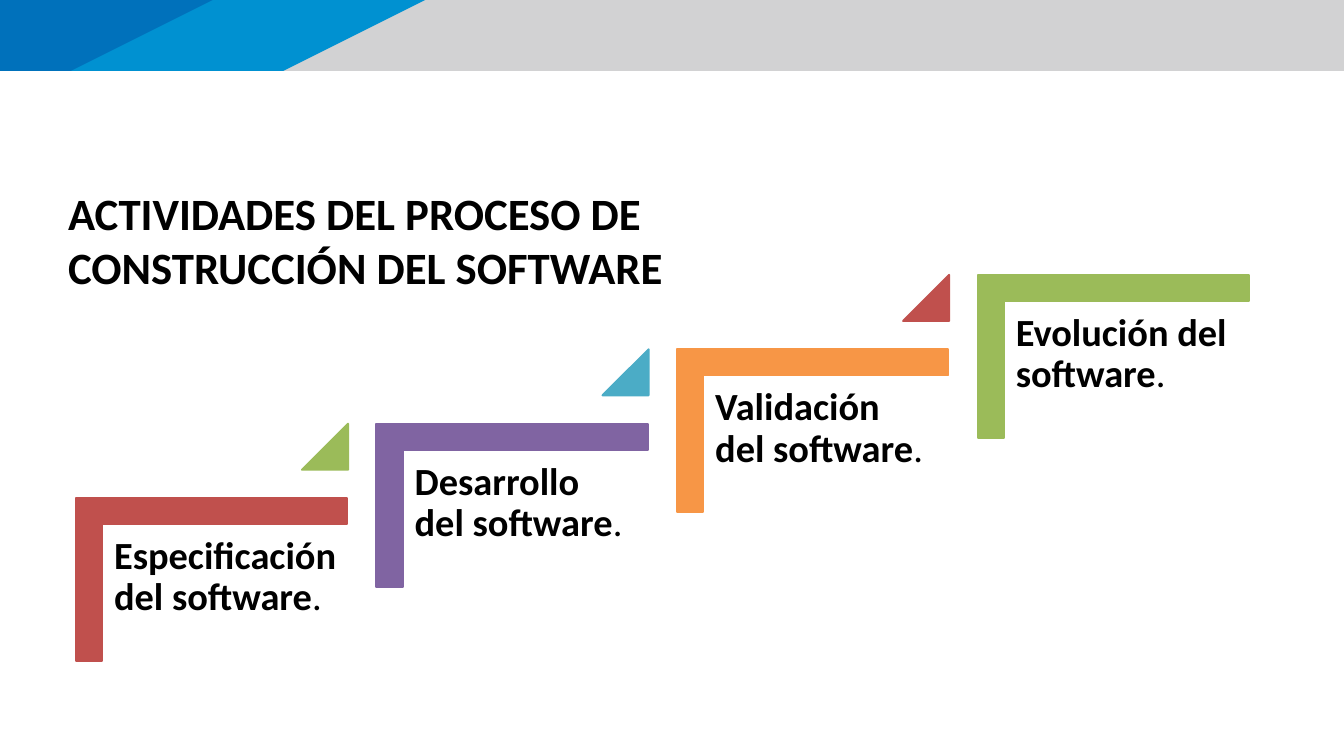
from pptx import Presentation
from pptx.dml.color import RGBColor
from pptx.enum.shapes import MSO_SHAPE
from pptx.enum.text import MSO_ANCHOR, MSO_AUTO_SIZE, PP_ALIGN
from pptx.util import Inches, Pt

CORNER = MSO_SHAPE.CORNER
TRIANGLE = MSO_SHAPE.ISOSCELES_TRIANGLE
TOP = MSO_ANCHOR.TOP
LEFT = PP_ALIGN.LEFT
NO_AUTOFIT = MSO_AUTO_SIZE.NONE

BLACK = RGBColor(0x00, 0x00, 0x00)
GREY = RGBColor(0xD2, 0xD2, 0xD3)
SKY = RGBColor(0x00, 0x91, 0xD1)
BLUE = RGBColor(0x00, 0x71, 0xBB)
RED = RGBColor(0xC0, 0x50, 0x4D)
GREEN = RGBColor(0x9B, 0xBB, 0x59)
PURPLE = RGBColor(0x80, 0x64, 0xA2)
TEAL = RGBColor(0x4B, 0xAC, 0xC6)
ORANGE = RGBColor(0xF7, 0x96, 0x46)

FONT = "Calibri"
WIDTH, HEIGHT = 18.96, 10.67
BANNER_HEIGHT = 1.24
BANDS = [(WIDTH, WIDTH, GREY), (5.58, 3.9, SKY), (3.01, 1.34, BLUE)]

STAIR_LEFT, STAIR_TOP = 1.07, 7.03
COLUMN, ROW = 4.24, 1.05
BRACKET_WIDTH, BRACKET_HEIGHT = 3.83, 2.3
LABEL_WIDTH, LABEL_HEIGHT = 3.46, 3.03
LABEL_INSET = 0.16
LABEL_OFFSET = 0.38
MARKER = 0.65

STEPS = [
    ("Especificación del software", RED, GREEN),
    ("Desarrollo del software", PURPLE, TEAL),
    ("Validación del software", ORANGE, RED),
    ("Evolución del software", GREEN, None),
]


def add_span(para, text, size, bold):
    span = para.add_run()
    span.text = text
    span.font.name = FONT
    span.font.size = Pt(size)
    span.font.bold = bold
    span.font.color.rgb = BLACK


def prepare_frame(box, inset_x, inset_y):
    frame = box.text_frame
    frame.word_wrap = True
    frame.auto_size = NO_AUTOFIT
    frame.vertical_anchor = TOP
    frame.margin_left = frame.margin_right = Inches(inset_x)
    frame.margin_top = frame.margin_bottom = Inches(inset_y)
    para = frame.paragraphs[0]
    para.alignment = LEFT
    para.space_before = Pt(0)
    return para


def add_band(page, top_edge, bottom_edge, color):
    builder = page.shapes.build_freeform(0, 0, scale=Inches(1))
    builder.add_line_segments(
        [(top_edge, 0), (bottom_edge, BANNER_HEIGHT), (0, BANNER_HEIGHT)], close=True
    )
    band = builder.convert_to_shape()
    band.shadow.inherit = False
    band.fill.solid()
    band.fill.fore_color.rgb = color
    band.line.fill.background()


def add_title(page):
    title = page.shapes.title
    title.left, title.top = Inches(0.86), Inches(2.57)
    title.width, title.height = Inches(10.19), Inches(1.63)
    para = prepare_frame(title, 0.1, 0.05)
    para.line_spacing = 1.0
    add_span(para, "ACTIVIDADES DEL PROCESO DE CONSTRUCCIÓN DEL SOFTWARE", 45.5, True)


def add_solid(stairs, kind, left, top, width, height, color, adjustments):
    shape = stairs.shapes.add_shape(
        kind, Inches(left), Inches(top), Inches(width), Inches(height)
    )
    for index, value in enumerate(adjustments):
        shape.adjustments[index] = value
    shape.shadow.inherit = False
    shape.fill.solid()
    shape.fill.fore_color.rgb = color
    shape.line.color.rgb = color
    shape.line.width = Pt(2)
    return shape


def add_bracket(stairs, left, top, color):
    turn = (BRACKET_WIDTH - BRACKET_HEIGHT) / 2
    bracket = add_solid(
        stairs, CORNER, left + turn, top - turn,
        BRACKET_HEIGHT, BRACKET_WIDTH, color, [0.161, 0.161],
    )
    bracket.rotation = 90


def add_label(stairs, left, top, text):
    box = stairs.shapes.add_textbox(
        Inches(left), Inches(top), Inches(LABEL_WIDTH), Inches(LABEL_HEIGHT)
    )
    para = prepare_frame(box, LABEL_INSET, LABEL_INSET)
    para.line_spacing = 0.9
    add_span(para, text, 39, True)
    add_span(para, ".", 39, False)


def add_step(stairs, index, text, color, marker_color):
    left = STAIR_LEFT + index * COLUMN
    top = STAIR_TOP - index * ROW
    add_bracket(stairs, left, top, color)
    add_label(stairs, left + LABEL_OFFSET, top + LABEL_OFFSET, text)
    if marker_color is not None:
        marker_left = left + LABEL_OFFSET + LABEL_WIDTH - MARKER
        add_solid(
            stairs, TRIANGLE, marker_left, top - ROW, MARKER, MARKER, marker_color, [1]
        )


def main():
    deck = Presentation()
    deck.slide_width, deck.slide_height = Inches(WIDTH), Inches(HEIGHT)
    page = deck.slides.add_slide(deck.slide_layouts[5])
    for top_edge, bottom_edge, color in BANDS:
        add_band(page, top_edge, bottom_edge, color)
    add_title(page)
    stairs = page.shapes.add_group_shape()
    for index, (text, color, marker_color) in enumerate(STEPS):
        add_step(stairs, index, text, color, marker_color)
    deck.save("out.pptx")


if __name__ == "__main__":
    main()
